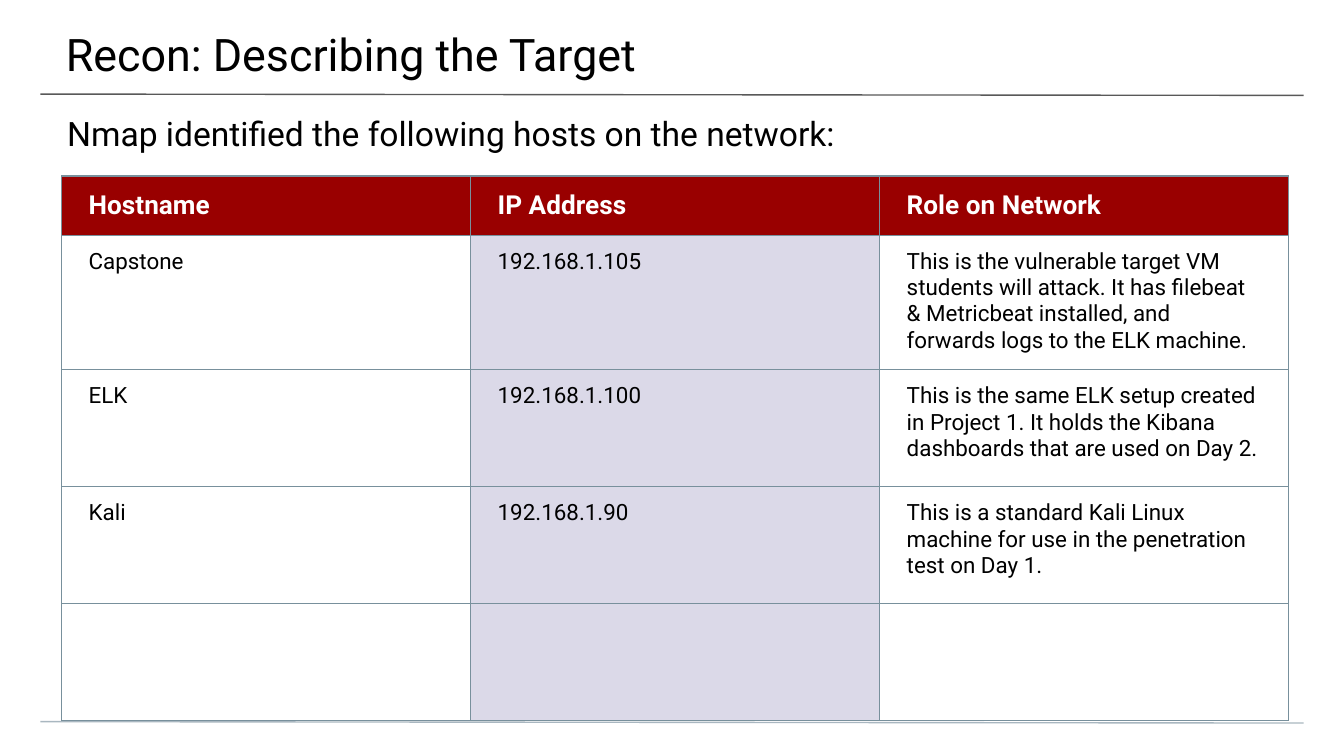
import pptx
import pptx.dml.color
import pptx.enum.shapes
import pptx.enum.text
import pptx.oxml.ns
import pptx.util
from lxml import etree

Inches = pptx.util.Inches

TITLE = "Recon: Describing the Target"
SUBTITLE = "Nmap identified the following hosts on the network:"
HEADER = ("Hostname", "IP Address", "Role on Network")
HOSTS = [
    ("Capstone", "192.168.1.105",
     "This is the vulnerable target VM students will attack. It has filebeat "
     "& Metricbeat installed, and forwards logs to the ELK machine."),
    ("ELK", "192.168.1.100",
     "This is the same ELK setup created in Project 1. It holds the Kibana "
     "dashboards that are used on Day 2."),
    ("Kali", "192.168.1.90",
     "This is a standard Kali Linux machine for use in the penetration test on Day 1."),
    ("", "", ""),
]
RULES = [((0.3, 0.7), (9.7, 0.71), "595959"), ((0.3, 5.37), (9.7, 5.38), "A9B7C0")]
HEADER_FILL, ADDRESS_FILL, BORDER = "990000", "DBD9E8", "78909C"
SLIDE_WIDTH = 10
SLIDE_HEIGHT = SLIDE_WIDTH * 9 / 16
TABLE_WIDTH, HEADER_HEIGHT, HOST_HEIGHT = 9.13, 0.44, 0.87
FRAME_SIZE = 3.28


def color(value):
    return pptx.dml.color.RGBColor.from_string(value)


def style(paragraph, size, value="000000", bold=False):
    for span in paragraph.runs:
        span.font.name = "Roboto"
        span.font.size = pptx.util.Pt(size)
        span.font.bold = bold
        span.font.color.rgb = color(value)


def set_margins(target, left, top, right, bottom):
    target.margin_left, target.margin_top = Inches(left), Inches(top)
    target.margin_right, target.margin_bottom = Inches(right), Inches(bottom)


def add_text(page, text, place, margins, size):
    box = page.shapes.add_textbox(*map(Inches, place))
    frame = box.text_frame
    frame.word_wrap = True
    set_margins(frame, *margins)
    frame.text = text
    style(frame.paragraphs[0], size)


def add_rule(page, start, end, value):
    line = page.shapes.add_connector(
        pptx.enum.shapes.MSO_CONNECTOR.STRAIGHT, *map(Inches, start + end))
    line.line.color.rgb = color(value)
    line.line.width = pptx.util.Pt(0.75)
    etree.SubElement(line._element.spPr, pptx.oxml.ns.qn("a:effectLst"))


def add_borders(cell):
    properties = cell._tc.get_or_add_tcPr()
    for side in ("lnL", "lnR", "lnT", "lnB"):
        edge = etree.SubElement(properties, pptx.oxml.ns.qn("a:" + side),
                                w=str(pptx.util.Pt(0.75)))
        fill = etree.SubElement(edge, pptx.oxml.ns.qn("a:solidFill"))
        etree.SubElement(fill, pptx.oxml.ns.qn("a:srgbClr"), val=BORDER)


def add_hosts(page):
    rows = [HEADER] + HOSTS
    heights = [HEADER_HEIGHT] + [HOST_HEIGHT] * len(HOSTS)
    frame = page.shapes.add_table(
        len(rows), len(HEADER), Inches(0.46), Inches(1.31),
        Inches(TABLE_WIDTH), Inches(sum(heights)))
    table = frame.table
    table.first_row = table.horz_banding = False
    for i, (texts, height) in enumerate(zip(rows, heights)):
        table.rows[i].height = Inches(height)
        for j, text in enumerate(texts):
            cell = table.cell(i, j)
            set_margins(cell, 0.2, 0.1, 0.2, 0.1)
            add_borders(cell)
            fill = HEADER_FILL if i == 0 else ADDRESS_FILL if j == 1 else None
            if fill:
                cell.fill.solid()
                cell.fill.fore_color.rgb = color(fill)
            else:
                cell.fill.background()
            cell.text_frame.text = text
            paragraph = cell.text_frame.paragraphs[0]
            if i == 0:
                cell.vertical_anchor = pptx.enum.text.MSO_ANCHOR.MIDDLE
                style(paragraph, 14, "FFFFFF", True)
            else:
                style(paragraph, 12)
    frame.width = frame.height = Inches(FRAME_SIZE)


def main():
    deck = pptx.Presentation()
    deck.slide_width, deck.slide_height = Inches(SLIDE_WIDTH), Inches(SLIDE_HEIGHT)
    page = deck.slides.add_slide(deck.slide_layouts[6])
    for start, end, value in RULES:
        add_rule(page, start, end, value)
    add_text(page, TITLE, (-0.01, 0, 10.03, 0.58), (0.5, 0.2, 0.3, 0.1), 24)
    add_text(page, SUBTITLE, (0, 0.74, 10, 0.4), (0.5, 0.1, 0.5, 0), 18)
    add_hosts(page)
    deck.save("out.pptx")


if __name__ == "__main__":
    main()
